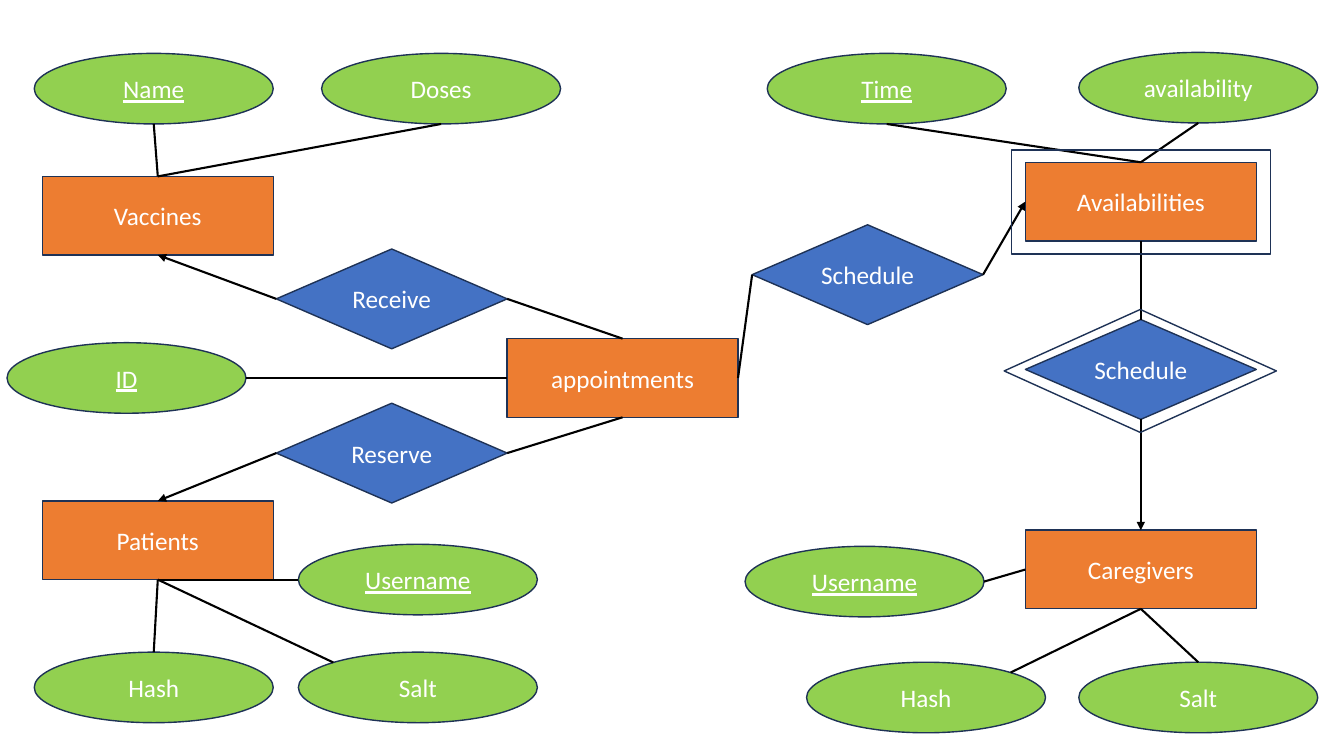
from lxml.etree import SubElement
from pptx import Presentation
from pptx.dml.color import RGBColor
from pptx.enum.shapes import MSO_CONNECTOR, MSO_SHAPE
from pptx.enum.text import MSO_ANCHOR, PP_ALIGN
from pptx.oxml.ns import qn
from pptx.util import Inches, Pt

ORANGE = RGBColor(0xED, 0x7D, 0x31)
BLUE = RGBColor(0x44, 0x72, 0xC4)
GREEN = RGBColor(0x92, 0xD0, 0x50)
NAVY = RGBColor(0x1E, 0x32, 0x56)
BLACK = RGBColor(0, 0, 0)
WHITE = RGBColor(0xFF, 0xFF, 0xFF)

SITES = {
    "top": (0.5, 0), "upper left": (0.146, 0.146), "left": (0, 0.5),
    "lower left": (0.146, 0.854), "bottom": (0.5, 1), "lower right": (0.854, 0.854),
    "right": (1, 0.5), "upper right": (0.854, 0.146),
}


class EntityDiagram:
    """Draws an entity-relationship diagram on a grid of tenth-inch columns and rows."""

    cell = Inches(0.1)
    font_name = "Calibri"
    font_size = Pt(18)

    def __init__(self, slide):
        self.slide = slide

    def outline(self, kind, column, row, columns, rows):
        shape = self.slide.shapes.add_shape(
            kind, *(round(length * self.cell) for length in (column, row, columns, rows)))
        shape.shadow.inherit = False
        shape.fill.background()
        shape.line.color.rgb = NAVY
        shape.line.width = Pt(1)
        return shape

    def node(self, kind, color, text, box, underline=False):
        shape = self.outline(kind, *box)
        shape.fill.solid()
        shape.fill.fore_color.rgb = color
        frame = shape.text_frame
        frame.vertical_anchor = MSO_ANCHOR.MIDDLE
        paragraph = frame.paragraphs[0]
        paragraph.text = text
        paragraph.alignment = PP_ALIGN.CENTER
        font = paragraph.font
        font.name = self.font_name
        font.size = self.font_size
        font.color.rgb = WHITE
        if underline:
            font.underline = True
        return shape

    def entity(self, text, column, row):
        return self.node(MSO_SHAPE.RECTANGLE, ORANGE, text, (column, row, 22.9, 7.8))

    def relationship(self, text, column, row):
        return self.node(MSO_SHAPE.FLOWCHART_DECISION, BLUE, text, (column, row, 22.9, 9.9))

    def attribute(self, text, column, row, key=False):
        return self.node(MSO_SHAPE.OVAL, GREEN, text, (column, row, 23.7, 7), key)

    def site_point(self, shape, site):
        across, down = SITES[site]
        return round(shape.left + across * shape.width), round(shape.top + down * shape.height)

    def connect(self, start, start_site, end, end_site, arrow=False):
        connector = self.slide.shapes.add_connector(
            MSO_CONNECTOR.STRAIGHT,
            *self.site_point(start, start_site), *self.site_point(end, end_site))
        connector.line.color.rgb = BLACK
        connector.line.width = Pt(1.5)
        if arrow:
            SubElement(connector.line._get_or_add_ln(), qn("a:tailEnd"), type="triangle")
        SubElement(connector._element.spPr, qn("a:effectLst"))
        glue = connector._element.nvCxnSpPr.cNvCxnSpPr
        for tag, shape, site in (("a:stCxn", start, start_site), ("a:endCxn", end, end_site)):
            index = list(SITES).index(site)
            if shape.auto_shape_type != MSO_SHAPE.OVAL:
                index //= 2
            SubElement(glue, qn(tag), id=str(shape.shape_id), idx=str(index))


def main():
    presentation = Presentation()
    presentation.slide_width = Inches(13.33)
    presentation.slide_height = Inches(7.5)
    diagram = EntityDiagram(presentation.slides.add_slide(presentation.slide_layouts[6]))

    vaccines = diagram.entity("Vaccines", 4.2, 17.5)
    patients = diagram.entity("Patients", 4.2, 49.7)
    appointments = diagram.entity("appointments", 50.3, 33.6)
    availabilities = diagram.entity("Availabilities", 101.7, 16.1)
    caregivers = diagram.entity("Caregivers", 101.7, 52.6)

    receive = diagram.relationship("Receive", 27.4, 24.7)
    reserve = diagram.relationship("Reserve", 27.4, 40)
    appointment_schedule = diagram.relationship("Schedule", 74.6, 22.3)
    caregiver_schedule = diagram.relationship("Schedule", 101.7, 31.7)

    attributes = [
        ("Name", 3.4, 5.3, True, "bottom", vaccines, "top"),
        ("Doses", 31.9, 5.3, False, "bottom", vaccines, "top"),
        ("ID", 0.7, 34, True, "right", appointments, "left"),
        ("Username", 29.6, 54, True, "left", patients, "bottom"),
        ("Hash", 3.4, 64.7, False, "top", patients, "bottom"),
        ("Salt", 29.6, 64.7, False, "upper left", patients, "bottom"),
        ("Time", 76.1, 5.3, True, "bottom", availabilities, "top"),
        ("availability", 107, 5.2, False, "bottom", availabilities, "top"),
        ("Username", 73.9, 54.2, True, "right", caregivers, "left"),
        ("Hash", 80, 65.7, False, "upper right", caregivers, "bottom"),
        ("Salt", 107, 65.7, False, "top", caregivers, "bottom"),
    ]
    for text, column, row, key, site, entity, entity_site in attributes:
        attribute = diagram.attribute(text, column, row, key)
        diagram.connect(attribute, site, entity, entity_site)

    diagram.connect(appointments, "top", receive, "right")
    diagram.connect(receive, "left", vaccines, "bottom", arrow=True)
    diagram.connect(appointments, "bottom", reserve, "right")
    diagram.connect(reserve, "left", patients, "top", arrow=True)
    diagram.connect(appointments, "right", appointment_schedule, "left")
    diagram.connect(appointment_schedule, "right", availabilities, "left", arrow=True)
    diagram.connect(availabilities, "bottom", caregiver_schedule, "top")
    diagram.connect(caregiver_schedule, "bottom", caregivers, "top", arrow=True)

    diagram.outline(MSO_SHAPE.RECTANGLE, 100.3, 14.9, 25.7, 10.3)
    diagram.outline(MSO_SHAPE.FLOWCHART_DECISION, 99.6, 30.7, 27, 12.2)

    presentation.save("out.pptx")


if __name__ == "__main__":
    main()
